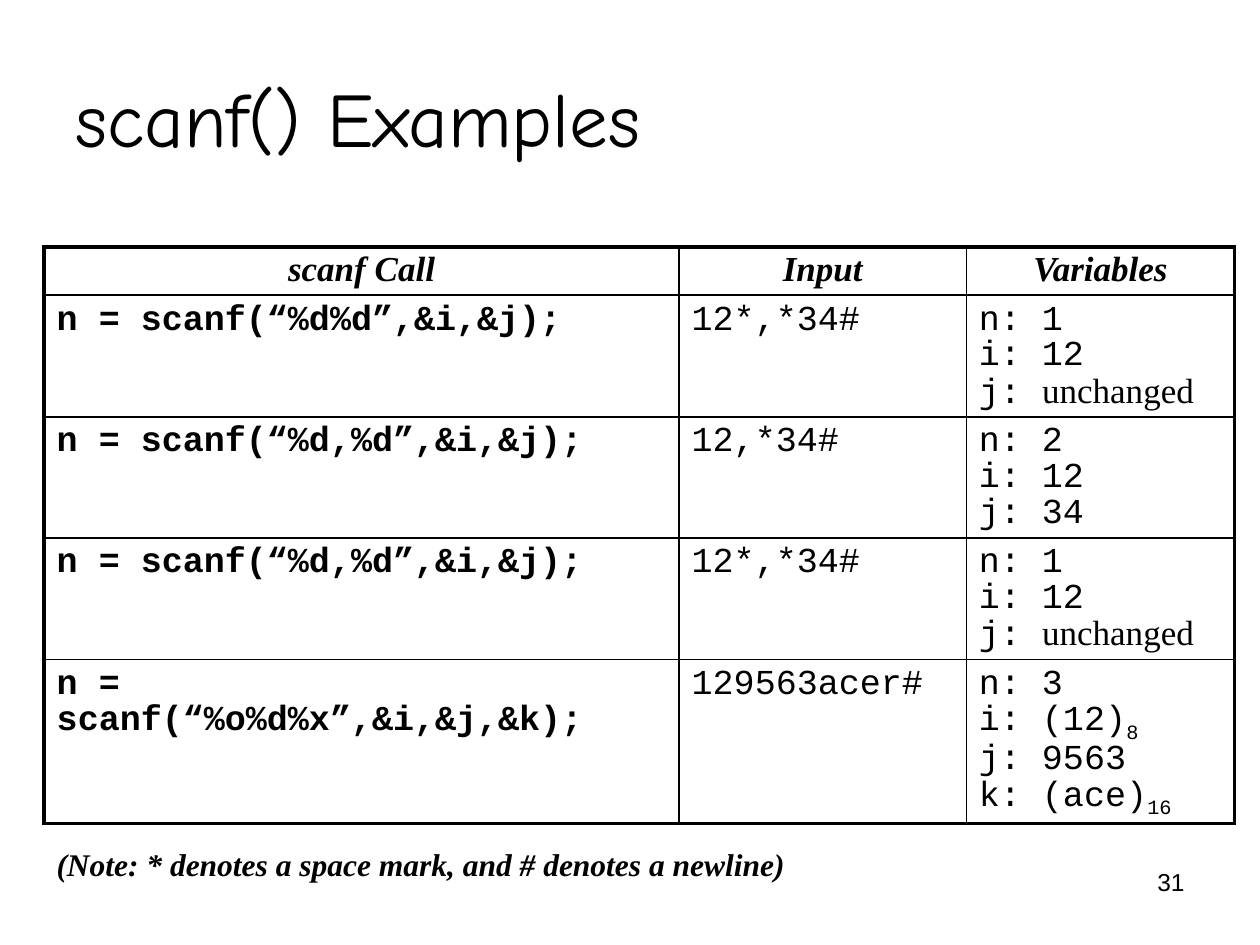
import dataclasses

import pptx
import pptx.dml.color
import pptx.enum.text
import pptx.oxml
import pptx.oxml.ns
import pptx.util

Cm = pptx.util.Cm
Pt = pptx.util.Pt
ALIGN = pptx.enum.text.PP_ALIGN
ANCHOR = pptx.enum.text.MSO_ANCHOR


@dataclasses.dataclass(frozen=True)
class Theme:
    ink: str = "000000"
    paper: str = "FFFFFF"
    title_font: str = "Comic Neue"
    serif: str = "Times New Roman"
    mono: str = "Courier New"
    sans: str = "Arial"
    title_size: int = 44
    table_size: int = 20
    note_size: int = 18
    number_size: int = 14
    outer_line: float = 2.25
    inner_line: float = 1
    line_spacing: float = 0.9


THEME = Theme()

HEADERS = ["scanf Call", "Input", "Variables"]
UNCHANGED = [("j: ", {}), ("unchanged", {"font": THEME.serif})]
SUBSCRIPT = {"baseline": -25}
EXAMPLES = [
    ("n = scanf(“%d%d”,&i,&j);", "12*,*34#",
     [[("n: 1", {})], [("i: 12", {})], UNCHANGED]),
    ("n = scanf(“%d,%d”,&i,&j);", "12,*34#",
     [[("n: 2", {})], [("i: 12", {})], [("j: 34", {})]]),
    ("n = scanf(“%d,%d”,&i,&j);", "12*,*34#",
     [[("n: 1", {})], [("i: 12", {})], UNCHANGED]),
    ("n = scanf(“%o%d%x”,&i,&j,&k);", "129563acer#",
     [[("n: 3", {})], [("i: (12)", {}), ("8", SUBSCRIPT)],
      [("j: 9563", {})], [("k: (ace)", {}), ("16", SUBSCRIPT)]]),
]
COLUMN_WIDTHS = [12.8, 5.79, 5.41]
ROW_HEIGHTS = [0.97, 2.44, 2.44, 2.44, 3.3]


def add_span(para, text, font, size, bold=False, italic=False, baseline=0):
    span = para.add_run()
    span.text = text
    span.font.name = font
    span.font.size = Pt(size)
    span.font.bold = bold
    span.font.italic = italic
    span.font.color.rgb = pptx.dml.color.RGBColor.from_string(THEME.ink)
    if baseline:
        span.font._element.set("baseline", str(baseline * 1000))


def add_title(page, box, text):
    title = page.shapes.title
    title.left, title.top, title.width, title.height = map(Cm, box)
    title.text_frame.vertical_anchor = ANCHOR.MIDDLE
    para = title.text_frame.paragraphs[0]
    para.alignment = ALIGN.LEFT
    add_span(para, text, THEME.title_font, THEME.title_size)


def add_caption(page, box, text, font, size, align=ALIGN.LEFT, wrap=True, **style):
    frame = page.shapes.add_textbox(*map(Cm, box)).text_frame
    frame.word_wrap = wrap
    para = frame.paragraphs[0]
    para.alignment = align
    add_span(para, text, font, size, **style)


def set_borders(cell, widths):
    properties = cell._tc.get_or_add_tcPr()
    for index, (side, width) in enumerate(widths.items()):
        line = pptx.oxml.parse_xml(
            f'<a:ln{side} {pptx.oxml.ns.nsdecls("a")} w="{int(Pt(width))}">'
            f'<a:solidFill><a:srgbClr val="{THEME.ink}"/></a:solidFill>'
            f'</a:ln{side}>')
        properties.insert(index, line)


def fill_cell(cell, lines, align=ALIGN.LEFT, **style):
    cell.fill.solid()
    cell.fill.fore_color.rgb = pptx.dml.color.RGBColor.from_string(THEME.paper)
    frame = cell.text_frame
    for index, line in enumerate(lines):
        para = frame.add_paragraph() if index else frame.paragraphs[0]
        para.alignment = align
        para.line_spacing = THEME.line_spacing
        for text, changes in line:
            add_span(para, text, **{"size": THEME.table_size, **style, **changes})


def add_examples(page, box):
    row_count, column_count = len(ROW_HEIGHTS), len(COLUMN_WIDTHS)
    frame = page.shapes.add_table(row_count, column_count, *map(Cm, box))
    table = frame.table
    table.first_row = False
    table.horz_banding = False
    for column, width in zip(table.columns, COLUMN_WIDTHS):
        column.width = Cm(width)
    for row, height in zip(table.rows, ROW_HEIGHTS):
        row.height = Cm(height)

    for column, header in enumerate(HEADERS):
        fill_cell(table.cell(0, column), [[(header, {})]], ALIGN.CENTER,
                  font=THEME.serif, bold=True, italic=True)
    for row, (call, typed, variables) in enumerate(EXAMPLES, start=1):
        fill_cell(table.cell(row, 0), [[(call, {})]], font=THEME.mono, bold=True)
        fill_cell(table.cell(row, 1), [[(typed, {})]], font=THEME.mono)
        fill_cell(table.cell(row, 2), variables, font=THEME.mono)

    for row in range(row_count):
        for column in range(column_count):
            outer = {"L": column == 0, "R": column == column_count - 1,
                     "T": row == 0, "B": row == row_count - 1}
            set_borders(table.cell(row, column), {
                side: THEME.outer_line if edge else THEME.inner_line
                for side, edge in outer.items()})


def main():
    deck = pptx.Presentation()
    deck.slide_width, deck.slide_height = Cm(25.4), Cm(19.05)
    page = deck.slides.add_slide(deck.slide_layouts.get_by_name("Title Only"))
    add_title(page, (1.27, 0.76, 22.86, 3.18), "scanf() Examples")
    add_examples(page, (0.89, 4.98, sum(COLUMN_WIDTHS), sum(ROW_HEIGHTS)))
    add_caption(page, (0.89, 16.92, 15.21, 1.02),
                "(Note: * denotes a space mark, and # denotes a newline)",
                THEME.serif, THEME.note_size, wrap=False, bold=True, italic=True)
    add_caption(page, (18.21, 17.35, 5.92, 1.32), "31",
                THEME.sans, THEME.number_size, ALIGN.RIGHT)
    deck.save("out.pptx")


if __name__ == "__main__":
    main()
